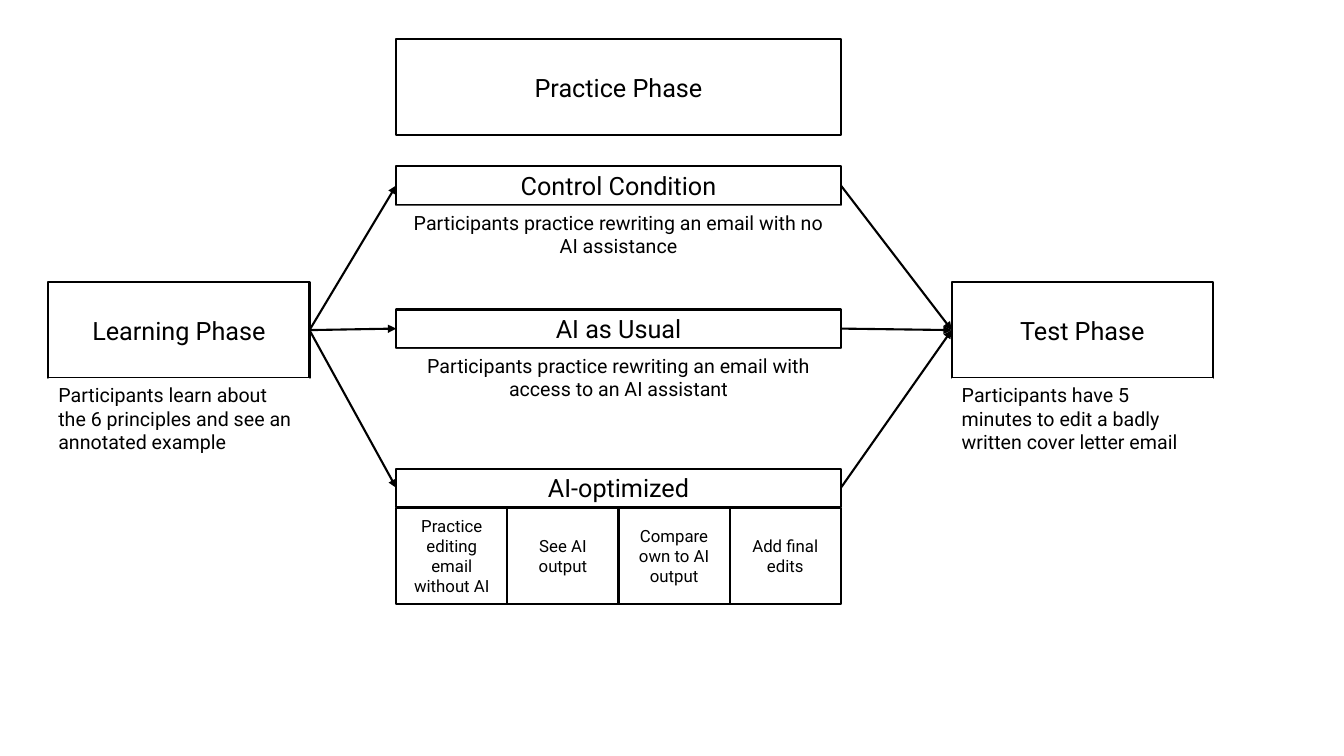
from lxml import etree
from pptx import Presentation
from pptx.dml.color import RGBColor
from pptx.enum.shapes import MSO_CONNECTOR, MSO_SHAPE
from pptx.enum.text import MSO_ANCHOR, PP_ALIGN
from pptx.oxml.ns import qn
from pptx.util import Inches, Pt

RECT, STRAIGHT = MSO_SHAPE.RECTANGLE, MSO_CONNECTOR.STRAIGHT
LEFT, CENTER = PP_ALIGN.LEFT, PP_ALIGN.CENTER
TOP, MIDDLE = MSO_ANCHOR.TOP, MSO_ANCHOR.MIDDLE
LEFT_SIDE, RIGHT_SIDE = 1, 3

# Content
PRACTICE = "Practice Phase"
PHASES = [  # left, title, description
    (0.48, "Learning Phase",
     "Participants learn about the 6 principles and see an annotated example"),
    (9.44, "Test Phase",
     "Participants have 5 minutes to edit a badly written cover letter email"),
]
CONDITIONS = [  # top, title, description
    (1.65, "Control Condition",
     "Participants practice rewriting an email with no AI assistance"),
    (3.07, "AI as Usual",
     "Participants practice rewriting an email with access to an AI assistant"),
    (4.65, "AI-optimized", None),
]
STEPS = ["Practice editing email without AI", "See AI output",
         "Compare own to AI output", "Add final edits"]

# Layout and style
PHASE_TOP, PHASE_W, BOX_H = 2.8, 2.59, 0.95
MID_X, MID_W, BAR_H = 3.93, 4.41, 0.38
PRACTICE_TOP, BODY_OFFSET = 0.39, 0.39
FONT, BLACK, WHITE = "Roboto", "000000", "FFFFFF"
TITLE_PT, NOTE_PT, STEP_PT, LINE_PT = 18, 14, 12, 1.5


def rgb(value):
    return RGBColor.from_string(value)


def add_box(x, y, w, h, text, size, align=CENTER, anchor=MIDDLE, outlined=True):
    sp = slide.shapes.add_shape(RECT, Inches(x), Inches(y), Inches(w), Inches(h))
    sp.shadow.inherit = False
    sp.fill.solid()
    sp.fill.fore_color.rgb = rgb(WHITE)
    if outlined:
        sp.line.color.rgb = rgb(BLACK)
        sp.line.width = Pt(LINE_PT)
    else:
        sp.line.fill.background()
    tf = sp.text_frame
    tf.word_wrap = True
    tf.vertical_anchor = anchor
    p = tf.paragraphs[0]
    p.alignment = align
    r = p.add_run()
    r.text = text
    r.font.name = FONT
    r.font.size = Pt(size)
    r.font.color.rgb = rgb(BLACK)
    return sp


def add_arrow(start, end):
    cx = slide.shapes.add_connector(STRAIGHT, 0, 0, 0, 0)
    cx.begin_connect(start, RIGHT_SIDE)
    cx.end_connect(end, LEFT_SIDE)
    cx.line.color.rgb = rgb(BLACK)
    cx.line.width = Pt(LINE_PT)
    etree.SubElement(cx.line._get_or_add_ln(), qn("a:tailEnd"), type="triangle")
    etree.SubElement(cx._element.spPr, qn("a:effectLst"))


prs = Presentation()
prs.slide_width, prs.slide_height = Inches(13.33), Inches(7.5)
slide = prs.slides.add_slide(prs.slide_layouts[6])

# Learning and test phases
phases = []
for x, title, note in PHASES:
    phases.append(add_box(x, PHASE_TOP, PHASE_W, BOX_H, title, TITLE_PT))
    add_box(x, PHASE_TOP + BOX_H, PHASE_W, BOX_H, note, NOTE_PT, LEFT, TOP, False)
learning, test = phases

# Practice phase and its conditions
add_box(MID_X, PRACTICE_TOP, MID_W, BOX_H, PRACTICE, TITLE_PT)
conditions = []
for y, title, note in CONDITIONS:
    conditions.append(add_box(MID_X, y, MID_W, BAR_H, title, TITLE_PT))
    if note:
        add_box(MID_X, y + BODY_OFFSET, MID_W, BOX_H, note, NOTE_PT, CENTER, TOP, False)

# Steps under the last condition
step_w = MID_W / len(STEPS)
step_top = CONDITIONS[-1][0] + BODY_OFFSET
for i, step in enumerate(STEPS):
    add_box(MID_X + i * step_w, step_top, step_w, BOX_H, step, STEP_PT)

# Arrows into and out of each condition
for condition in conditions:
    add_arrow(learning, condition)
    add_arrow(condition, test)

prs.save("out.pptx")
